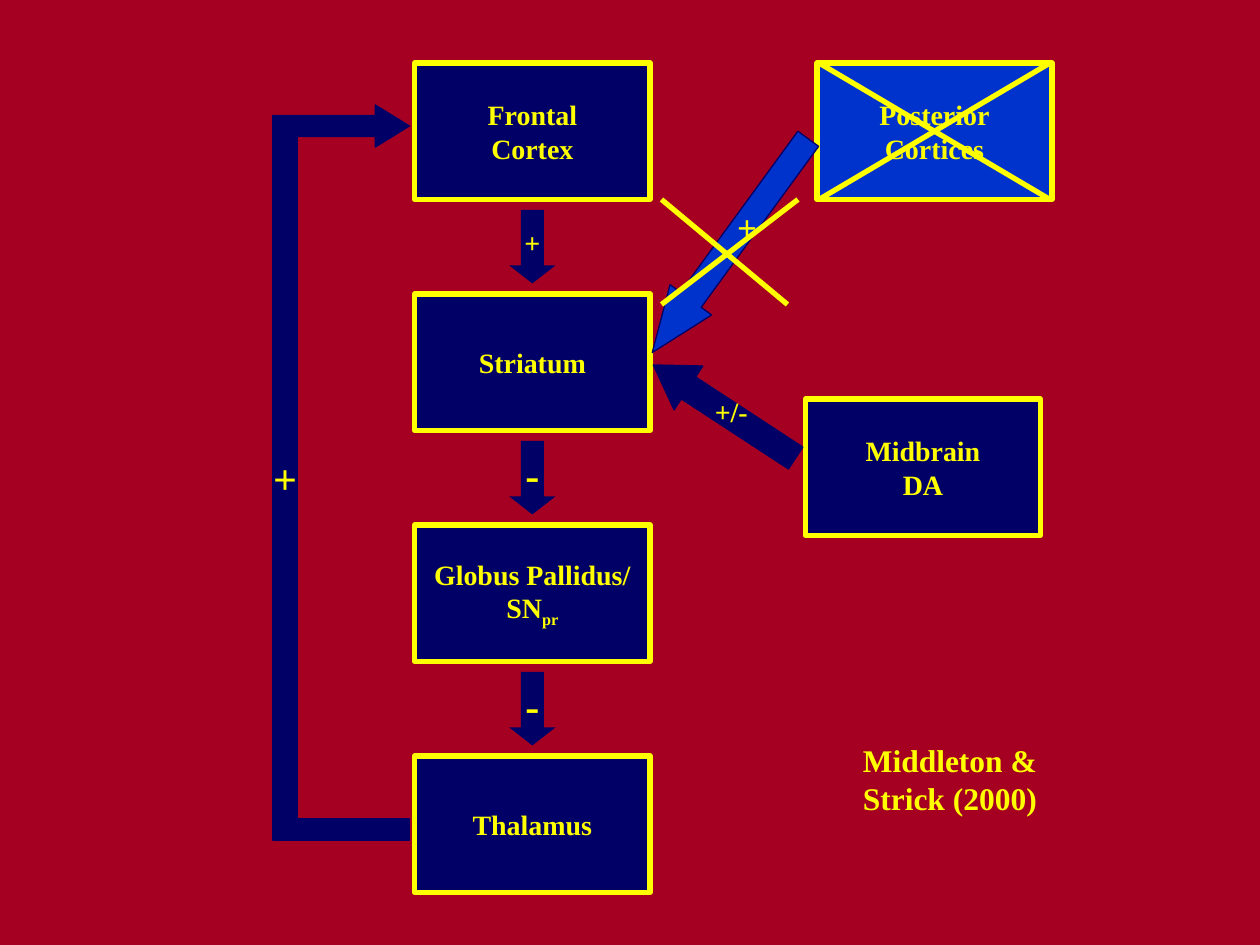
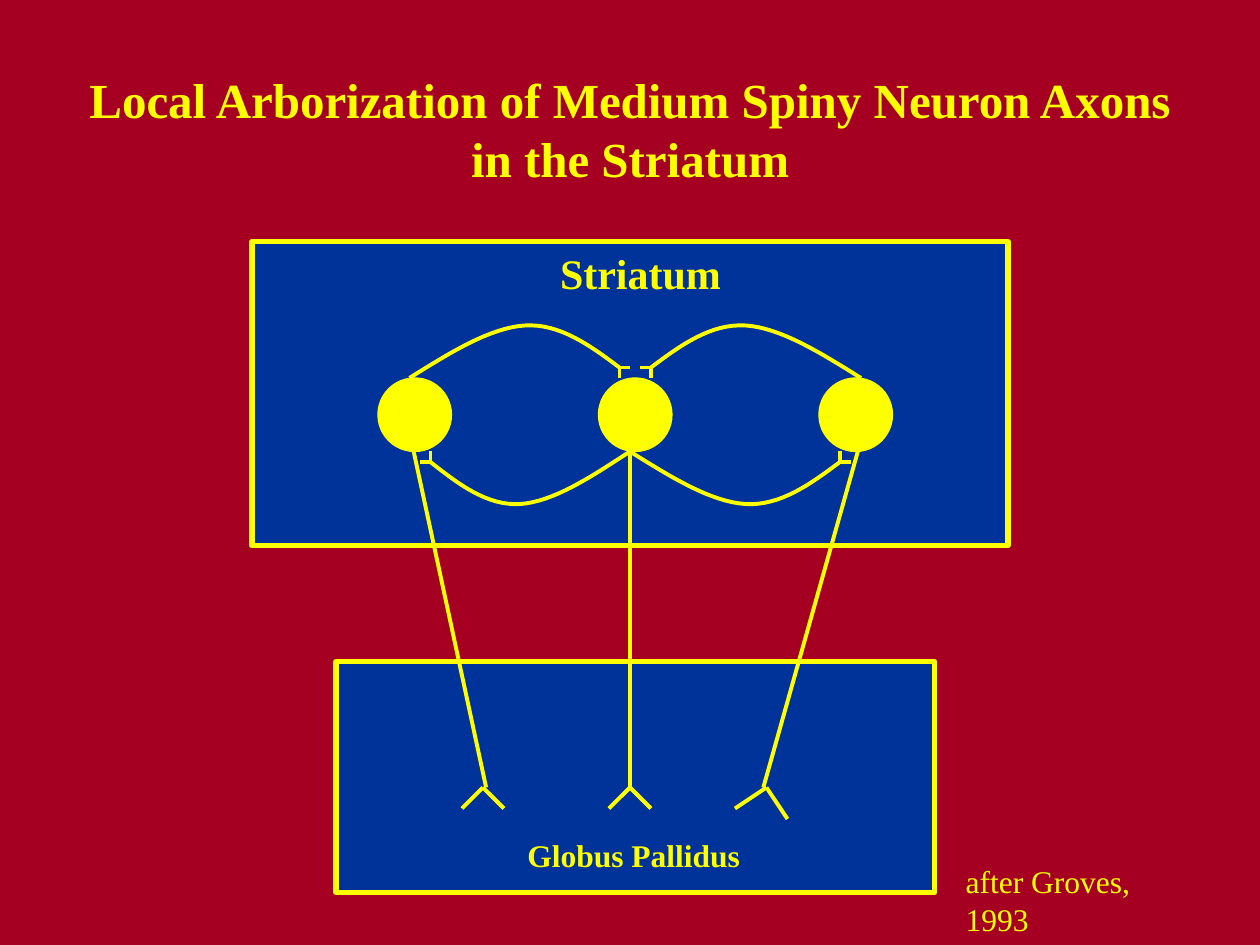
from lxml.etree import SubElement
from pptx import Presentation
from pptx.dml.color import RGBColor
from pptx.enum.shapes import MSO_CONNECTOR, MSO_SHAPE
from pptx.enum.text import MSO_ANCHOR, MSO_AUTO_SIZE, PP_ALIGN
from pptx.oxml.ns import qn
from pptx.util import Inches, Pt

RED = RGBColor(0xA5, 0x00, 0x21)
NAVY = RGBColor(0x00, 0x00, 0x66)
BRIGHT_BLUE = RGBColor(0x00, 0x33, 0xCC)
BLUE = RGBColor(0x00, 0x33, 0x99)
YELLOW = RGBColor(0xFF, 0xFF, 0x00)
FONT = "Times New Roman"

prs = Presentation()
prs.slide_width, prs.slide_height = Inches(10), Inches(7.5)
prs.slide_master.background.fill.solid()
prs.slide_master.background.fill.fore_color.rgb = RED
CELL = prs.slide_width / 120


def put(s, kind, at, fill=None, edge=None, weight=0.75, text="", size=16,
        bold=True, align=PP_ALIGN.CENTER):
    left, top, width, height = [round(v * CELL) for v in at]
    if kind == "title":
        sp = s.shapes.title
        sp.left, sp.top, sp.width, sp.height = left, top, width, height
    elif kind == "text":
        sp = s.shapes.add_textbox(left, top, width, height)
    else:
        sp = s.shapes.add_shape(kind, left, top, width, height)
        sp.shadow.inherit = False
        sp.fill.solid()
        sp.fill.fore_color.rgb = fill
        if edge is None:
            sp.line.fill.background()
        else:
            sp.line.color.rgb = edge
            sp.line.width = Pt(weight)
    if text:
        tf = sp.text_frame
        tf.text = text
        tf.word_wrap = False
        tf.vertical_anchor = MSO_ANCHOR.MIDDLE
        if kind == "text":
            tf.vertical_anchor = MSO_ANCHOR.TOP
            tf.auto_size = MSO_AUTO_SIZE.SHAPE_TO_FIT_TEXT
        for p in tf.paragraphs:
            p.alignment = align
            p.font.name, p.font.size, p.font.bold = FONT, Pt(size), bold
            p.font.color.rgb = YELLOW
    return sp


def draw_line(s, x1, y1, x2, y2, weight=2.25):
    cx = s.shapes.add_connector(MSO_CONNECTOR.STRAIGHT,
                                *[round(v * CELL) for v in (x1, y1, x2, y2)])
    cx.line.color.rgb = YELLOW
    cx.line.width = Pt(weight)
    SubElement(cx._element.spPr, qn("a:effectLst"))


s = prs.slides.add_slide(prs.slide_layouts[6])
BOX_W, BOX_H, ROW = 22.4, 13, 22

regions = ["Frontal\nCortex", "Striatum", "Globus Pallidus/\nSN", "Thalamus"]
for i, name in enumerate(regions):
    sp = put(s, MSO_SHAPE.RECTANGLE, (39.5, 6 + i * ROW, BOX_W, BOX_H),
             NAVY, YELLOW, 3, name)
    if name.endswith("SN"):
        r = sp.text_frame.paragraphs[-1].add_run()
        r.text = "pr"
        r._r.get_or_add_rPr().set("baseline", "-25000")
put(s, MSO_SHAPE.RECTANGLE, (76.7, 38, BOX_W, BOX_H), NAVY, YELLOW, 3, "Midbrain\nDA")

for i, (sign, size) in enumerate([("+", 16), ("-", 24), ("-", 24)]):
    sp = put(s, MSO_SHAPE.DOWN_ARROW, (48.5, 20 + i * ROW, 4.4, 7), NAVY,
             text=sign, size=size)
    sp.adjustments[1] = 0.39

sp = put(s, MSO_SHAPE.DOWN_ARROW, (66.5, 31.1, 5, 16.2), NAVY, NAVY)
sp.adjustments[1] = 0.8
sp.rotation = 123.2
sp = put(s, MSO_SHAPE.RIGHT_ARROW, (26, 10, 13, 4), NAVY, NAVY)
sp.adjustments[1] = 0.81
put(s, MSO_SHAPE.RECTANGLE, (26, 78, 13, 2), NAVY, NAVY)
put(s, MSO_SHAPE.RECTANGLE, (26, 11, 2.3, 69), NAVY, NAVY, text="+", size=24)
put(s, "text", (66.9, 37, 5.5, 4.4), text="+/-")

put(s, MSO_SHAPE.RECTANGLE, (77.8, 6, BOX_W, BOX_H), BRIGHT_BLUE, YELLOW, 3,
    "Posterior\nCortices")
sp = put(s, MSO_SHAPE.DOWN_ARROW, (67.1, 10.8, 4.9, 25.2), BRIGHT_BLUE, NAVY)
sp.adjustments[1] = 1.27
sp.rotation = 36.1
put(s, "text", (69, 19, 4.3, 5.3), text="+", size=20)
put(s, "text", (81, 70, 19, 8.4), text="Middleton &\nStrick (2000)", size=18,
    align=PP_ALIGN.LEFT)
for ends in [(78, 19, 100, 6), (78, 6, 100, 19), (63, 19, 75, 29), (76, 19, 63, 29)]:
    draw_line(s, *ends, weight=3)

s = prs.slides.add_slide(prs.slide_layouts[5])
put(s, "title", (7, 6, 106, 12.5), size=28,
    text="Local Arborization of Medium Spiny Neuron Axons\nin the Striatum")
put(s, MSO_SHAPE.RECTANGLE, (24, 23, 72, 29), BLUE, YELLOW, 3)
put(s, MSO_SHAPE.RECTANGLE, (32, 63, 57, 22), BLUE, YELLOW, 3)
for i in range(3):
    put(s, MSO_SHAPE.OVAL, (36 + i * 21, 36, 7, 7), YELLOW, YELLOW)
put(s, "text", (52.1, 23, 17.8, 6), text="Striatum", size=24)

STEPS = 16
bends = [((0, 0), (3.84, -2.4), (7.7, -4.8), (11, -5)),
         ((11, -5), (14.3, -5.2), (17.2, -3.1), (20, -1))]
arc = [(0, 0)]
for a, b, c, d in bends:
    for k in range(1, STEPS + 1):
        t = k / STEPS
        u = 1 - t
        arc.append([u**3 * a[j] + 3 * u**2 * t * b[j] + 3 * u * t**2 * c[j] + t**3 * d[j]
                    for j in (0, 1)])

collaterals = [(39, 36, 1, 1), (82, 36, -1, 1), (60, 43, -0.95, -1), (60, 43, 1, -1)]
for x, y, sx, sy in collaterals:
    pts = [(round((x + sx * dx) * CELL), round((y + sy * dy) * CELL)) for dx, dy in arc]
    fb = s.shapes.build_freeform(*pts[0])
    fb.add_line_segments(pts[1:], close=False)
    sp = fb.convert_to_shape()
    sp.shadow.inherit = False
    sp.fill.background()
    sp.line.color.rgb = YELLOW
    sp.line.width = Pt(2.25)
    end_x, end_y = x + 20 * sx, y - sy
    draw_line(s, end_x, end_y, end_x, end_y + sy)
    draw_line(s, end_x, end_y, end_x + (1 if sx > 0 else -1), end_y)

axons = [(39.4, 46.3, 46, (44, 77), (48, 77)),
         (60, 60, 60, (58, 77), (62, 77)),
         (81.7, 72.7, 73, (70, 77), (75, 78))]
for top_x, end_x, fork_x, *tips in axons:
    draw_line(s, top_x, 43, end_x, 75)
    for tip in tips:
        draw_line(s, fork_x, 75, *tip)

put(s, "text", (49, 79, 22.7, 4.8), text="Globus Pallidus", size=18)
put(s, "text", (90.8, 81.5, 24.7, 4.8), text="after Groves, 1993", size=18,
    bold=False, align=PP_ALIGN.LEFT)

prs.save("out.pptx")
